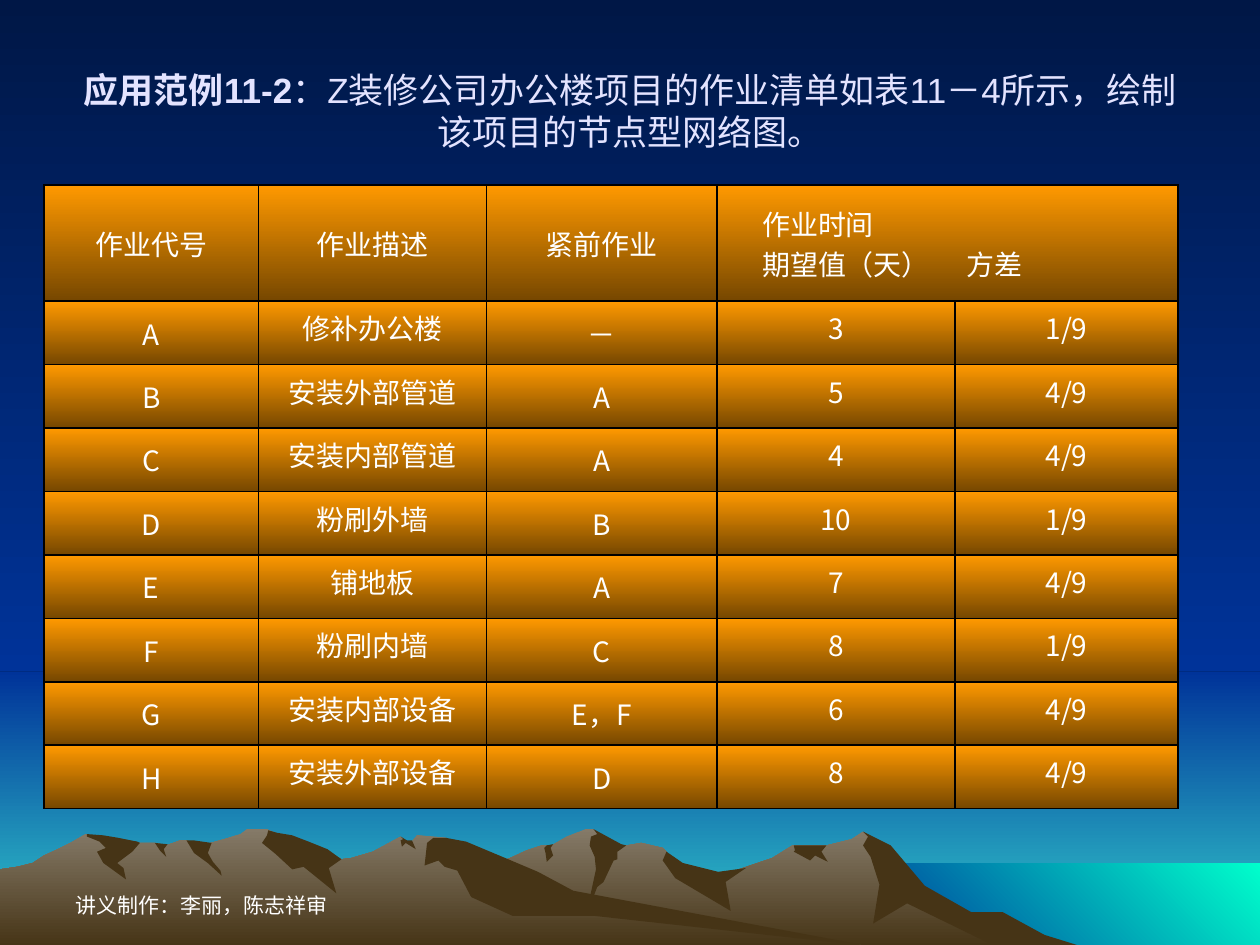
from dataclasses import dataclass

from lxml.etree import SubElement
from pptx import Presentation
from pptx.dml.color import RGBColor
from pptx.enum.shapes import MSO_SHAPE
from pptx.enum.text import MSO_ANCHOR, PP_ALIGN
from pptx.oxml import parse_xml
from pptx.oxml.ns import nsdecls, qn
from pptx.util import Inches, Pt


@dataclass(frozen=True)
class Theme:
    night: str = "001746"
    blue: str = "003399"
    horizon: str = "33CCCC"
    sea: str = "00FFCC"
    haze: str = "857A68"
    rock: str = "463416"
    orange: str = "FF9900"
    brown: str = "764700"
    title: str = "E3E3FF"
    text: str = "FFFFFF"
    border: str = "000000"
    font: str = "Arial"
    table_font: str = "Noto Sans CJK SC"
    title_size: int = 20
    table_size: int = 16
    credit_size: int = 12


THEME = Theme()
WIDTH, HEIGHT = 10, 7.5
DOWN, UP_RIGHT = 270, 45
UNITS_PER_INCH = 100

# Sunlit slopes, drawn from outline points in inches
RIGHT_RANGE = [
    (8.02, 7.4), (7.78, 7.27), (7.64, 7.23), (7.23, 6.98), (7.02, 6.71), (6.85, 6.6),
    (6.76, 6.66), (6.56, 6.71), (6.29, 6.71), (6.13, 6.81), (5.66, 6.97), (5.36, 6.9),
    (5.29, 6.76), (5.26, 6.73), (5.09, 6.69), (4.86, 6.73), (4.74, 6.61), (4.71, 6.58),
    (4.65, 6.58), (4.5, 6.64), (4.38, 6.71), (4.3, 6.71), (4.18, 6.75), (4.05, 6.81),
    (3.94, 6.85), (3.55, 6.98), (3.27, 7.09), (2.77, 7.39), (2.58, 7.51), (8.21, 7.51)]
LEFT_RANGE = [
    (6.9, 7.51), (6.67, 7.48), (4.32, 7.12), (3.54, 6.65), (3.31, 6.63), (3.27, 6.68),
    (3.23, 6.68), (3.18, 6.64), (2.96, 6.76), (2.79, 6.81), (2.71, 6.82), (2.6, 6.76),
    (2.36, 6.81), (2.23, 6.63), (2.12, 6.58), (1.96, 6.58), (1.91, 6.62), (1.78, 6.66),
    (1.6, 6.71), (1.48, 6.67), (1.43, 6.67), (1.32, 6.71), (1.23, 6.69), (1.11, 6.69),
    (0.94, 6.71), (0.68, 6.62), (0.56, 6.69), (0.46, 6.74), (0.35, 6.79), (0.26, 6.85),
    (0.14, 6.88), (0, 6.9), (0, 7.51)]

# Shaded faces of each range
RIGHT_SHADOWS = [
    [(7.96, 7.24), (7.71, 7.24), (7.34, 7.03), (7.07, 6.71), (6.85, 6.6), (6.89, 6.64),
     (6.85, 6.71), (6.91, 6.8), (6.98, 7.02), (6.93, 7.33), (7.2, 7.17), (7.92, 7.52),
     (8.58, 7.51), (8.29, 7.42)],
    [(4.71, 6.58), (4.74, 6.62), (4.69, 6.64), (4.68, 6.71), (4.72, 6.8), (4.73, 6.9),
     (4.65, 7.27), (4.74, 7.04), (4.79, 7), (4.87, 6.83), (4.9, 6.82), (4.9, 6.76),
     (4.97, 6.71), (4.93, 6.7)],
    [(5.29, 6.76), (5.26, 6.83), (5.36, 6.97), (5.8, 7.23), (5.76, 7), (5.92, 6.89),
     (5.7, 6.92), (5.42, 6.85)],
    [(6.5, 6.71), (6.3, 6.71), (6.31, 6.75), (6.3, 6.76), (6.43, 6.83), (6.47, 6.79),
     (6.57, 6.84), (6.52, 6.76), (6.56, 6.71)],
    [(4.33, 6.77), (4.32, 6.73), (4.34, 6.71), (4.39, 6.7), (4.37, 6.73), (4.39, 6.79),
     (4.34, 6.84)]]
LEFT_SHADOWS = [
    [(2.12, 6.63), (2.08, 6.69), (2.19, 6.78), (2.32, 6.9), (2.41, 6.88), (2.67, 7.09),
     (2.61, 6.89), (2.71, 6.82), (2.6, 6.74), (2.45, 6.68), (2.32, 6.63), (2.2, 6.61),
     (2.13, 6.59)],
    [(3.7, 6.68), (3.54, 6.65), (3.44, 6.65), (3.39, 6.69), (3.37, 6.87), (3.48, 6.83),
     (3.53, 6.88), (3.63, 6.91), (3.74, 7.12), (4.07, 7.27), (4.72, 7.27), (6.9, 7.51),
     (4.55, 7.07), (4.27, 6.92), (4.01, 6.81)],
    [(3.18, 6.67), (3.2, 6.66), (3.18, 6.64), (3.23, 6.67), (3.27, 6.67), (3.3, 6.74),
     (3.22, 6.69), (3.19, 6.72)],
    [(1.54, 6.67), (1.68, 6.69), (1.65, 6.77), (1.69, 6.84), (1.75, 6.91), (1.76, 6.95),
     (1.65, 6.85), (1.54, 6.77), (1.48, 6.67)],
    [(1.33, 6.7), (1.3, 6.74), (1.32, 6.8), (1.27, 6.75), (1.23, 6.69)],
    [(1.09, 6.68), (1.11, 6.69), (1.05, 6.76), (0.93, 6.85), (0.98, 6.89), (1, 6.98),
     (0.82, 6.85), (0.77, 6.76), (0.84, 6.73), (0.79, 6.68), (0.69, 6.64), (0.69, 6.62),
     (0.82, 6.63), (0.94, 6.65)]]

COLUMN_WIDTHS = [1.7, 1.81, 1.83, 1.89, 1.77]
TABLE_HEIGHT, HEADER_HEIGHT = 4.95, 0.92
HEADERS = ["作业代号", "作业描述", "紧前作业"]
TIME_HEADERS = ["作业时间", "期望值（天）\t方差"]
ACTIVITIES = [
    ("A", "修补办公楼", "－", "3", "1/9"),
    ("B", "安装外部管道", "A", "5", "4/9"),
    ("C", "安装内部管道", "A", "4", "4/9"),
    ("D", "粉刷外墙", "B", "10", "1/9"),
    ("E", "铺地板", "A", "7", "4/9"),
    ("F", "粉刷内墙", "C", "8", "1/9"),
    ("G", "安装内部设备", "E，F", "6", "4/9"),
    ("H", "安装外部设备", "D", "8", "4/9")]
MIDDLE_COLUMNS = (0, 2)


def paint_gradient(fill, start, end, angle=DOWN):
    fill.gradient()
    fill.gradient_angle = angle
    for stop, color in zip(fill.gradient_stops, (start, end)):
        stop.color.rgb = RGBColor.from_string(color)


def paint_shape(shape, colors, angle=DOWN):
    shape.shadow.inherit = False
    shape.line.fill.background()
    if len(colors) == 2:
        paint_gradient(shape.fill, *colors, angle)
    else:
        shape.fill.solid()
        shape.fill.fore_color.rgb = RGBColor.from_string(colors[0])


def add_band(slide, box, colors, angle=DOWN):
    band = slide.shapes.add_shape(MSO_SHAPE.RECTANGLE, *map(Inches, box))
    paint_shape(band, colors, angle)


def add_outline(slide, points, *colors):
    # Outline coordinates are whole numbers, so count in hundredths of an inch
    start, *others = [(round(x * UNITS_PER_INCH), round(y * UNITS_PER_INCH)) for x, y in points]
    builder = slide.shapes.build_freeform(*start, scale=Inches(1) / UNITS_PER_INCH)
    builder.add_line_segments(others, close=True)
    paint_shape(builder.convert_to_shape(), colors)


def write(paragraph, text, *, size, color, font=THEME.font, bold=False, align=None):
    paragraph.alignment = align
    run = paragraph.add_run()
    run.text = text
    run.font.name, run.font.size, run.font.bold = font, Pt(size), bold
    run.font.color.rgb = RGBColor.from_string(color)
    SubElement(run.font._element, qn("a:ea"), typeface=THEME.table_font)


def set_indent(paragraph, first_line):
    properties = paragraph._p.get_or_add_pPr()
    properties.set("marL", str(Inches(0.38)))
    properties.set("indent", str(Inches(first_line)))
    return properties


def add_scenery(slide):
    horizon = 5.33
    add_band(slide, (0, horizon, WIDTH, HEIGHT - horizon), (THEME.blue, THEME.horizon))
    add_band(slide, (0, 0, WIDTH, horizon), (THEME.night, THEME.blue))
    add_band(slide, (6.83, 6.85, 3.17, 0.67), (THEME.blue, THEME.sea), UP_RIGHT)
    for mountains, shadows in ((RIGHT_RANGE, RIGHT_SHADOWS), (LEFT_RANGE, LEFT_SHADOWS)):
        add_outline(slide, mountains, THEME.haze, THEME.rock)
        for shadow in shadows:
            add_outline(slide, shadow, THEME.rock)


def add_credit(slide):
    frame = slide.shapes.add_textbox(*map(Inches, (0.5, 6.83, 2.33, 0.5))).text_frame
    frame.word_wrap = True
    frame.vertical_anchor = MSO_ANCHOR.BOTTOM
    write(frame.paragraphs[0], "讲义制作：李丽，陈志祥审", size=THEME.credit_size, color=THEME.text)


def fill_title(slide):
    title = slide.shapes.title
    title.left, title.top, title.width, title.height = map(Inches, (0.5, 0.25, 9, 1.25))
    title.text_frame.vertical_anchor = MSO_ANCHOR.MIDDLE
    paragraph = title.text_frame.paragraphs[0]
    style = dict(size=THEME.title_size, color=THEME.title, align=PP_ALIGN.CENTER)
    write(paragraph, "应用范例11-2", bold=True, **style)
    write(paragraph, "：Z装修公司办公楼项目的作业清单如表11－4所示，绘制该项目的节点型网络图。", **style)
    # Bring the title in front of the scenery
    title.element.getparent().append(title.element)


def format_cell(cell, anchor):
    cell.vertical_anchor = anchor
    paint_gradient(cell.fill, THEME.orange, THEME.brown)
    for position, side in enumerate("LRTB"):
        cell._tc.get_or_add_tcPr().insert(position, parse_xml(
            f'<a:ln{side} {nsdecls("a")} w="{Pt(1)}"><a:solidFill>'
            f'<a:srgbClr val="{THEME.border}"/></a:solidFill></a:ln{side}>'))


def write_cell(paragraph, text, first_line=-0.38, align=PP_ALIGN.CENTER):
    write(paragraph, text, size=THEME.table_size, color=THEME.text,
          font=THEME.table_font, align=align)
    return set_indent(paragraph, first_line)


def add_activity_table(slide):
    row_height = (TABLE_HEIGHT - HEADER_HEIGHT) / len(ACTIVITIES)
    table = slide.shapes.add_table(len(ACTIVITIES) + 1, len(COLUMN_WIDTHS), *map(
        Inches, (0.35, 1.47, sum(COLUMN_WIDTHS), TABLE_HEIGHT))).table
    table.first_row = table.horz_banding = False
    for column, width in zip(table.columns, COLUMN_WIDTHS):
        column.width = Inches(width)
    for index, row in enumerate(table.rows):
        row.height = Inches(row_height if index else HEADER_HEIGHT)
        for position, cell in enumerate(row.cells):
            middle = index == 0 or position in MIDDLE_COLUMNS
            format_cell(cell, MSO_ANCHOR.MIDDLE if middle else MSO_ANCHOR.TOP)
    for index, values in enumerate([HEADERS, *ACTIVITIES]):
        for position, value in enumerate(values):
            write_cell(table.cell(index, position).text_frame.paragraphs[0], value)

    # Shared heading of the two time columns, aligned by a tab stop
    heading = table.cell(0, 3)
    heading.merge(table.cell(0, 4))
    frame = heading.text_frame
    for paragraph, text in zip((frame.paragraphs[0], frame.add_paragraph()), TIME_HEADERS):
        properties = write_cell(paragraph, text, first_line=-0.12, align=PP_ALIGN.LEFT)
        stops = SubElement(properties, qn("a:tabLst"))
        SubElement(stops, qn("a:tab"), pos=str(Inches(1.97)), algn="l")


def main():
    presentation = Presentation()
    presentation.slide_width, presentation.slide_height = Inches(WIDTH), Inches(HEIGHT)
    slide = presentation.slides.add_slide(presentation.slide_layouts[5])
    paint_gradient(slide.background.fill, THEME.night, THEME.blue)
    add_scenery(slide)
    add_credit(slide)
    fill_title(slide)
    add_activity_table(slide)
    presentation.save("out.pptx")


if __name__ == "__main__":
    main()
